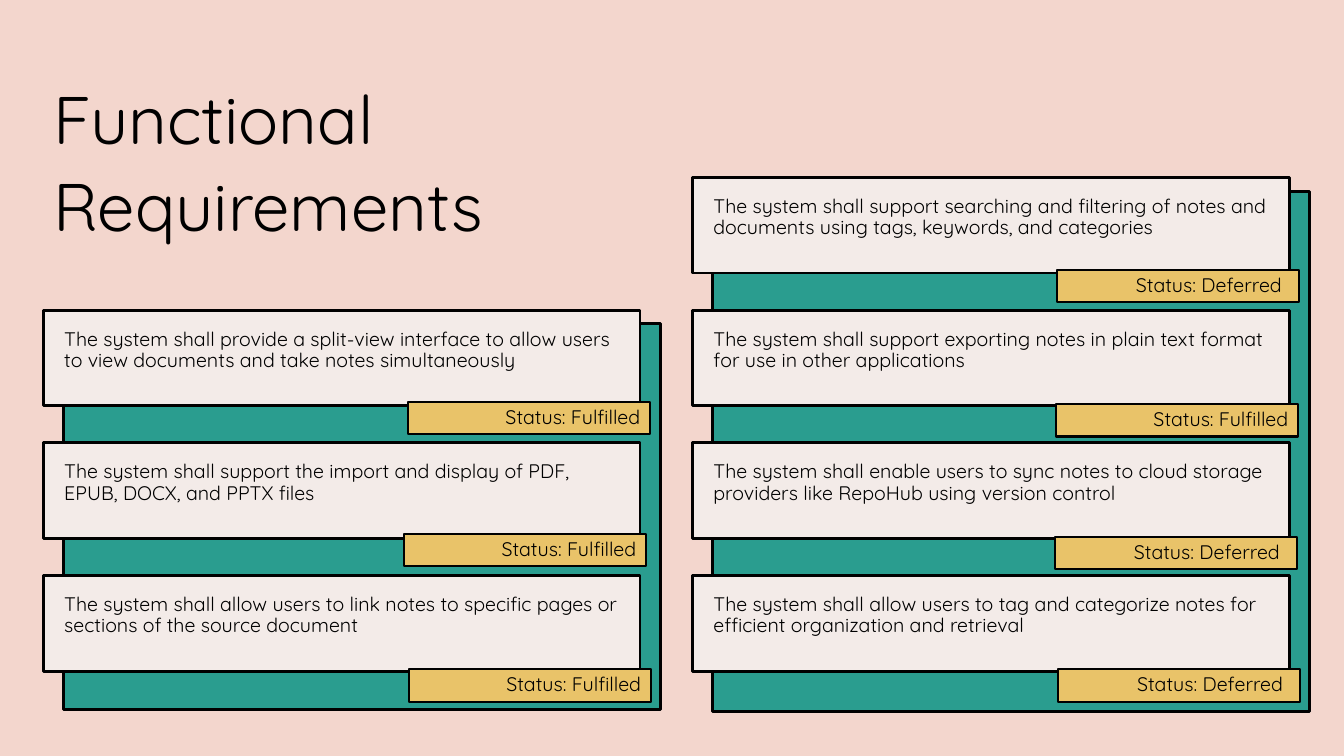
from pptx import Presentation
from pptx.dml.color import RGBColor
from pptx.enum.shapes import MSO_SHAPE
from pptx.enum.text import MSO_ANCHOR, PP_ALIGN
from pptx.util import Cm, Pt

PINK = RGBColor(0xF3, 0xD6, 0xCD)
TEAL = RGBColor(0x2A, 0x9D, 0x8F)
CREAM = RGBColor(0xF3, 0xEB, 0xE8)
GOLD = RGBColor(0xE9, 0xC3, 0x69)
BLACK = RGBColor(0, 0, 0)

DONE = "Status: Fulfilled"
LATER = "Status: Deferred"
TOP, STEP = 4.47, 3.345
WIDE, HIGH = 15.04, 2.41

PANELS = [(17.96, 4.83, 13.11), (1.6, 8.15, 9.73)]
LEFT = [
    ("The system shall provide a split-view interface to allow users "
     "to view documents and take notes simultaneously", DONE, 10.29, 10.13),
    ("The system shall support the import and display of PDF, "
     "EPUB, DOCX, and PPTX files", DONE, 10.19, 13.46),
    ("The system shall allow users to link notes to specific pages or "
     "sections of the source document", DONE, 10.31, 16.87),
]
RIGHT = [
    ("The system shall support searching and filtering of notes and "
     "documents using tags, keywords, and categories", LATER, 26.64, 6.81),
    ("The system shall support exporting notes in plain text format "
     "for use in other applications", DONE, 26.62, 10.19),
    ("The system shall enable users to sync notes to cloud storage "
     "providers like RepoHub using version control", LATER, 26.59, 13.54),
    ("The system shall allow users to tag and categorize notes for "
     "efficient organization and retrieval", LATER, 26.67, 16.87),
]
COLUMNS = [(1.09, 1, LEFT), (17.45, 0, RIGHT)]


def add_box(slide, x, y, w, h, fill, line=2):
    """Draw a filled rectangle with a black outline."""
    box = slide.shapes.add_shape(
        MSO_SHAPE.RECTANGLE, Cm(x), Cm(y), Cm(w), Cm(h))
    box.shadow.inherit = False
    box.fill.solid()
    box.fill.fore_color.rgb = fill
    box.line.color.rgb = BLACK
    box.line.width = Pt(line)
    return box


def set_text(shape, lines, size, insets, align=PP_ALIGN.LEFT):
    """Write lines into a shape, with left, top and right insets in cm."""
    frame = shape.text_frame
    frame.word_wrap = True
    frame.vertical_anchor = MSO_ANCHOR.TOP
    left, top, right = insets
    frame.margin_left, frame.margin_top = Cm(left), Cm(top)
    frame.margin_right, frame.margin_bottom = Cm(right), Cm(0.13)
    frame.text = "\n".join(lines)
    for index, para in enumerate(frame.paragraphs):
        para.alignment = align
        para.line_spacing = 0.9
        para.space_before = Pt(10 if index else 0)
        para.font.name = "Quicksand"
        para.font.size = Pt(size)
        para.font.color.rgb = BLACK


def add_title(slide, lines):
    """Add the slide title."""
    box = slide.shapes.add_textbox(Cm(1.09), Cm(2.06), Cm(15.29), Cm(4.72))
    set_text(box, lines, 48, (0.25, 0.13, 0.25))


def add_card(slide, x, y, text):
    """Add a card that holds one requirement."""
    card = add_box(slide, x, y, WIDE, HIGH, CREAM)
    set_text(card, [text], 14, (0.53, 0.48, 0.46))


def add_tag(slide, x, y, status):
    """Add a status tag."""
    tag = add_box(slide, x, y, 6.1, 0.81, GOLD, 1.5)
    right = 0.43 if status == LATER else 0.25
    set_text(tag, [status], 14, (0.25, 0.13, right), PP_ALIGN.RIGHT)


def main():
    """Build the slide and save it."""
    deck = Presentation()
    deck.slide_width, deck.slide_height = Cm(33.87), Cm(19.05)
    slide = deck.slides.add_slide(deck.slide_layouts[6])
    slide.background.fill.solid()
    slide.background.fill.fore_color.rgb = PINK
    for x, y, h in PANELS:
        add_box(slide, x, y, WIDE, h, TEAL)
    add_title(slide, ["Functional", "Requirements"])
    for x, first, cards in COLUMNS:
        for row, (text, status, tag_x, tag_y) in enumerate(cards, first):
            add_card(slide, x, TOP + row * STEP, text)
            add_tag(slide, tag_x, tag_y, status)
    deck.save("out.pptx")


if __name__ == "__main__":
    main()
